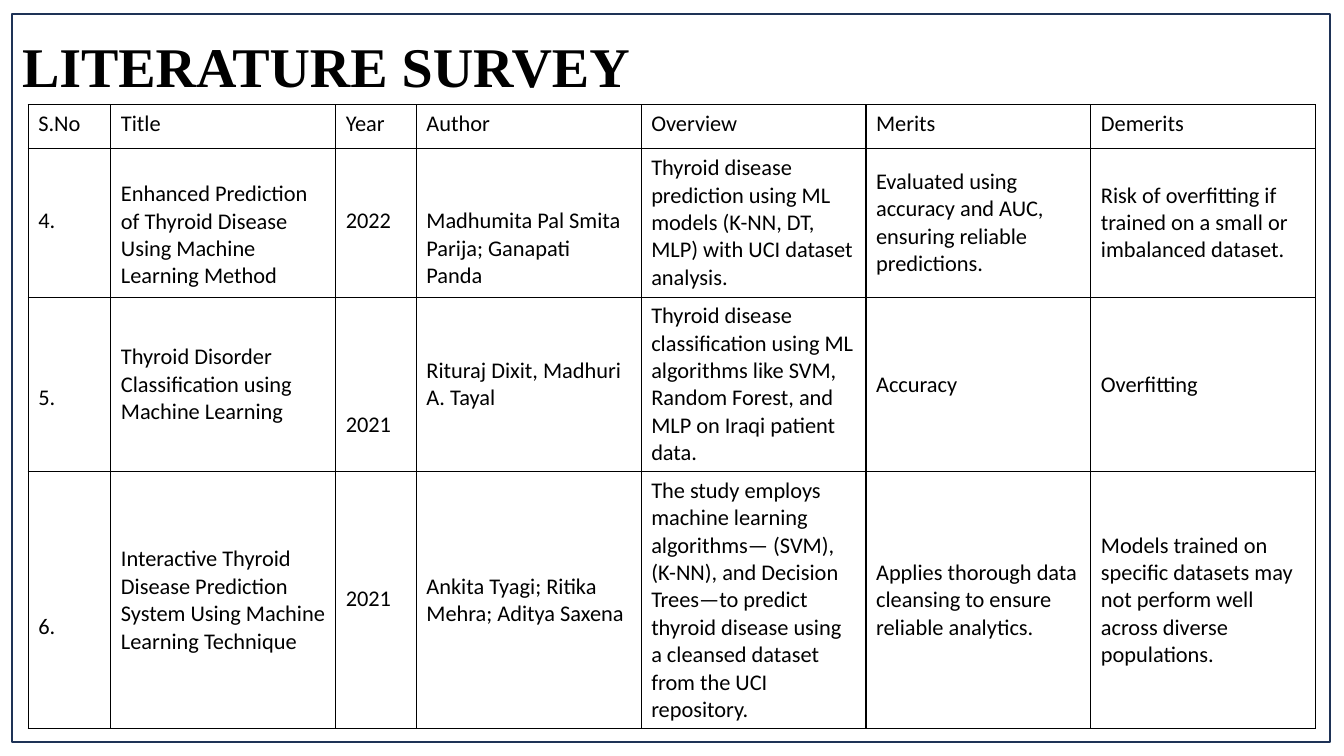
from dataclasses import dataclass

from lxml import etree
from pptx import Presentation
from pptx import util as u
from pptx.dml.color import RGBColor
from pptx.enum import shapes, text
from pptx.oxml import ns


@dataclass(frozen=True)
class Theme:
    """Colours, fonts and sizes of the slide."""
    ink: str = "000000"
    frame: str = "1E3256"
    title_font: str = "Times New Roman"
    body_font: str = "Calibri"
    title_size: int = 40
    body_size: int = 16
    line_width: int = 1


THEME = Theme()
BODY_LINE = 0.27
CELL_MARGIN = 0.05
COLUMN_WIDTHS = [0.82, 2.23, 0.8, 2.23, 2.23, 2.23, 2.23]
ROW_HEIGHTS = [0.43, 1.48, 1.73, 2.55]
SURVEY = [
    ["S.No", "Title", "Year", "Author", "Overview", "Merits", "Demerits"],
    ["4.", "Enhanced Prediction of Thyroid Disease Using Machine Learning Method", "2022",
     "Madhumita Pal Smita Parija; Ganapati Panda",
     "Thyroid disease prediction using ML models (K-NN, DT, MLP) with UCI dataset analysis.",
     "Evaluated using accuracy and AUC, ensuring reliable predictions.",
     "Risk of overfitting if trained on a small or imbalanced dataset."],
    ["5.", "Thyroid Disorder Classification using Machine Learning", "2021",
     "Rituraj Dixit, Madhuri A. Tayal",
     "Thyroid disease classification using ML algorithms like SVM, Random Forest, "
     "and MLP on Iraqi patient data.",
     "Accuracy", "Overfitting"],
    ["6.", "Interactive Thyroid Disease Prediction System Using Machine Learning Technique", "2021",
     "Ankita Tyagi; Ritika Mehra; Aditya Saxena",
     "The study employs machine learning algorithms— (SVM), (K-NN), and Decision Trees—to "
     "predict thyroid disease using a cleansed dataset from the UCI repository.",
     "Applies thorough data cleansing to ensure reliable analytics.",
     "Models trained on specific datasets may not perform well across diverse populations."],
]
LINES_ABOVE = [
    dict.fromkeys(range(len(COLUMN_WIDTHS)), 0),
    {0: 2, 1: 1, 2: 2, 3: 2},
    {0: 3, 2: 4},
    {0: 5, 2: 4},
]


def add_span(para, words, font, size, bold=False):
    """Add one styled run to a paragraph."""
    span = para.add_run()
    span.text = words
    span.font.name = font
    span.font.size = u.Pt(size)
    span.font.bold = bold
    span.font.color.rgb = RGBColor.from_string(THEME.ink)


def add_title(page, words, left, top, width, height):
    """Add the slide heading."""
    box = page.shapes.add_textbox(*map(u.Inches, (left, top, width, height)))
    frame = box.text_frame
    frame.word_wrap = True
    frame.vertical_anchor = text.MSO_ANCHOR.MIDDLE
    frame.margin_left = frame.margin_right = u.Inches(0.1)
    frame.margin_top = frame.margin_bottom = u.Inches(0.1)
    para = frame.paragraphs[0]
    para.line_spacing = 0.9
    add_span(para, words, THEME.title_font, THEME.title_size, bold=True)


def add_frame(page, left, top, width, height):
    """Add the unfilled outline around the page."""
    box = page.shapes.add_shape(
        shapes.MSO_SHAPE.RECTANGLE, *map(u.Inches, (left, top, width, height)))
    box.shadow.inherit = False
    box.fill.background()
    box.line.color.rgb = RGBColor.from_string(THEME.frame)
    box.line.width = u.Pt(THEME.line_width)


def add_borders(cell):
    """Draw a solid line on each side of a cell."""
    properties = cell._tc.get_or_add_tcPr()
    for position, side in enumerate(("lnL", "lnR", "lnT", "lnB")):
        line = etree.Element(ns.qn(f"a:{side}"), w=str(u.Pt(THEME.line_width)))
        fill = etree.SubElement(line, ns.qn("a:solidFill"))
        etree.SubElement(fill, ns.qn("a:srgbClr"), val=THEME.ink)
        properties.insert(position, line)


def fill_cell(cell, words, lines_above):
    """Write a cell, centred or lowered by a number of text lines."""
    cell.fill.background()
    if lines_above is None:
        cell.vertical_anchor = text.MSO_ANCHOR.MIDDLE
    else:
        cell.vertical_anchor = text.MSO_ANCHOR.TOP
        cell.margin_top = u.Inches(CELL_MARGIN + lines_above * BODY_LINE)
    add_span(cell.text_frame.paragraphs[0], words, THEME.body_font, THEME.body_size)
    add_borders(cell)


def add_survey_table(page, left, top):
    """Add the table of surveyed papers."""
    size = (left, top, sum(COLUMN_WIDTHS), sum(ROW_HEIGHTS))
    table = page.shapes.add_table(
        len(SURVEY), len(COLUMN_WIDTHS), *map(u.Inches, size)).table
    table.first_row = table.horz_banding = False
    for column, width in zip(table.columns, COLUMN_WIDTHS):
        column.width = u.Inches(width)
    for row, height, entries, above in zip(table.rows, ROW_HEIGHTS, SURVEY, LINES_ABOVE):
        row.height = u.Inches(height)
        for index, (cell, words) in enumerate(zip(row.cells, entries)):
            fill_cell(cell, words, above.get(index))


def main():
    """Build and save the literature survey slide."""
    deck = Presentation()
    deck.slide_width, deck.slide_height = u.Inches(13.33), u.Inches(7.5)
    page = deck.slides.add_slide(deck.slide_layouts[6])
    add_title(page, "LITERATURE SURVEY", 0.12, 0.16, 7.51, 1.06)
    add_frame(page, 0.12, 0.14, 13.07, 7.22)
    add_survey_table(page, 0.28, 1.04)
    deck.save("out.pptx")


if __name__ == "__main__":
    main()
